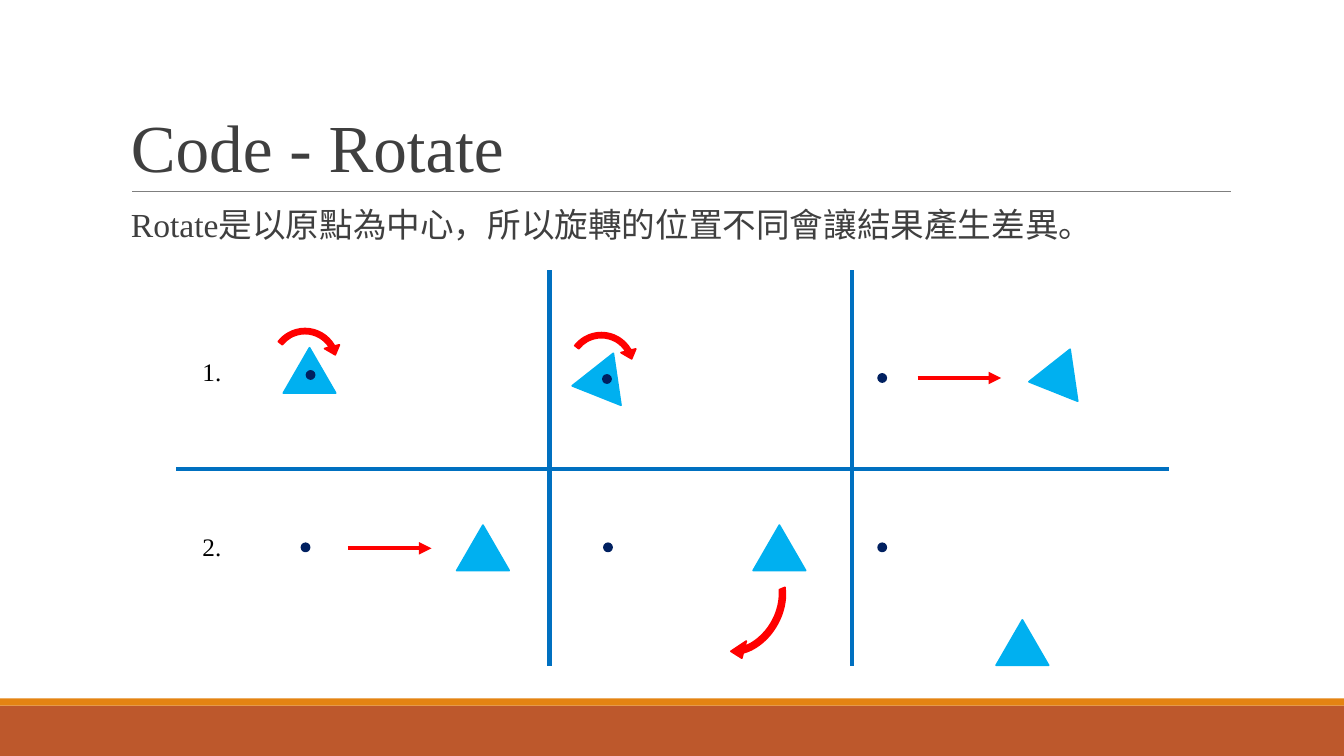
from pptx import Presentation
from pptx.dml.color import RGBColor
from pptx.enum.shapes import MSO_CONNECTOR as LINE, MSO_SHAPE as SHAPE
from pptx.enum.text import MSO_ANCHOR as ANCHOR
from pptx.oxml.ns import qn
from pptx.util import Inches, Pt
from lxml.etree import SubElement

GREY, BLACK = "3F3F3F", "000000"
SKY, NAVY, RED, GRID = "00B0F0", "002060", "FF0000", "0070C0"


def rgb(code):
    return RGBColor.from_string(code)


prs = Presentation()
prs.slide_width, prs.slide_height = Inches(13.33), Inches(7.5)
slide = prs.slides.add_slide(prs.slide_layouts[6])
shapes = slide.shapes

# Footer bands
for top, height, color in [(7, 0.5, "BD582C"), (6.93, 0.07, "E48312")]:
    band = shapes.add_shape(SHAPE.RECTANGLE, 0, Inches(top), prs.slide_width, Inches(height))
    band.shadow.inherit = False
    band.fill.solid()
    band.fill.fore_color.rgb = rgb(color)
    band.line.fill.background()

# Title, explanation and row numbers
texts = [
    ("Code - Rotate", 1.2, 0.31, 11, 1.59, 48, GREY, 0.85, ANCHOR.BOTTOM),
    ("Rotate是以原點為中心，所以旋轉的位置不同會讓結果產生差異。",
     1.2, 2.02, 11, 4.4, 24, GREY, 0.9, ANCHOR.TOP),
    ("1.", 1.91, 3.49, 0.43, 0.4, 18, BLACK, 1.0, ANCHOR.TOP),
    ("2.", 1.91, 5.22, 0.43, 0.4, 18, BLACK, 1.0, ANCHOR.TOP),
]
for text, left, top, width, height, size, color, spacing, anchor in texts:
    box = shapes.add_textbox(Inches(left), Inches(top), Inches(width), Inches(height))
    frame = box.text_frame
    frame.word_wrap = True
    frame.vertical_anchor = anchor
    frame.text = text
    paragraph = frame.paragraphs[0]
    paragraph.line_spacing = spacing
    font = paragraph.runs[0].font
    font.name, font.size = "Times New Roman", Pt(size)
    font.color.rgb = rgb(color)

# Triangles, origin dots and rotation arrows
figures = [(SHAPE.ISOSCELES_TRIANGLE, left, top, 0.52, 0.45, turn, SKY) for left, top, turn in [
    (2.81, 3.45, 0), (5.74, 3.49, 21.7), (10.27, 3.45, 21.7),
    (4.53, 5.21, 0), (7.47, 5.21, 0), (9.88, 6.15, 0)]]
figures += [(SHAPE.CIRCULAR_ARROW, left, top, width, height, turn, RED)
            for left, top, width, height, turn in [
                (2.64, 3.21, 0.77, 0.77, 0), (5.58, 3.25, 0.77, 0.77, 0),
                (6.8, 5.56, 1.14, 0.89, 118.8)]]
figures += [(SHAPE.OVAL, left, top, 0.08, 0.08, 0, NAVY) for left, top in [
    (3.04, 3.68), (5.98, 3.72), (8.71, 3.71), (2.99, 5.39), (5.99, 5.39), (8.71, 5.39)]]
# Thickness, head angle, end angle, start angle, head width; 0.6 per degree
arc_settings = [0.065, 16 * 0.6, 330 * 0.6, 218 * 0.6, 0.098]

for kind, left, top, width, height, turn, color in figures:
    figure = shapes.add_shape(kind, Inches(left), Inches(top), Inches(width), Inches(height))
    figure.rotation = turn
    if kind == SHAPE.CIRCULAR_ARROW:
        for i, setting in enumerate(arc_settings):
            figure.adjustments[i] = setting
    figure.shadow.inherit = False
    figure.fill.solid()
    figure.fill.fore_color.rgb = rgb(color)
    figure.line.color.rgb = rgb(color)
    figure.line.width = Pt(1.25)

# Title rule, translation arrows and grid lines
lines = [
    (1.31, 1.9, 12.21, 1.9, "7F7F7F", 0.75, False),
    (9.1, 3.75, 9.93, 3.75, RED, 3, True),
    (3.45, 5.44, 4.28, 5.44, RED, 3, True),
    (1.75, 4.65, 11.59, 4.65, GRID, 3, False),
    (5.45, 2.68, 5.45, 6.61, GRID, 3, False),
    (8.45, 2.68, 8.45, 6.61, GRID, 3, False),
]
for x1, y1, x2, y2, color, width, has_arrow in lines:
    line = shapes.add_connector(LINE.STRAIGHT, Inches(x1), Inches(y1), Inches(x2), Inches(y2))
    line.line.color.rgb = rgb(color)
    line.line.width = Pt(width)
    if has_arrow:
        SubElement(line.line._get_or_add_ln(), qn("a:tailEnd"), type="triangle")
    SubElement(line._element.spPr, qn("a:effectLst"))

prs.save("out.pptx")
